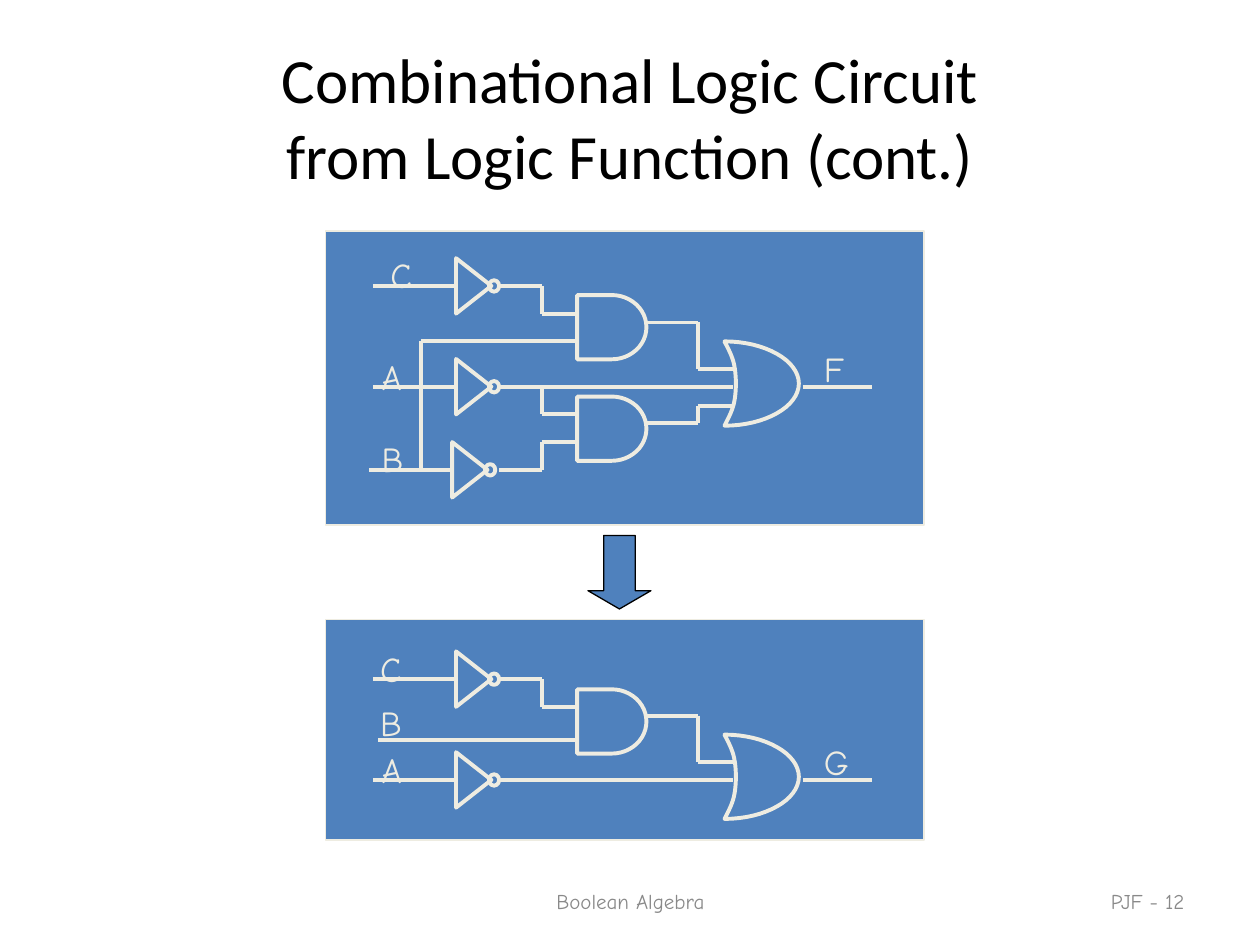
import pptx
import pptx.dml.color
import pptx.enum.shapes
import pptx.enum.text
import pptx.oxml
import pptx.util

Pt = pptx.util.Pt
SHAPES = pptx.enum.shapes.MSO_SHAPE
ALIGN = pptx.enum.text.PP_ALIGN
ANCHOR = pptx.enum.text.MSO_ANCHOR
AUTO_SIZE = pptx.enum.text.MSO_AUTO_SIZE

# Content
TITLE = "Combinational Logic Circuit\vfrom Logic Function (cont.)"
BLUE, CREAM, GREY, BLACK = "4F81BD", "EEECE1", "898989", "000000"
FOOTERS = [
    ("Boolean Algebra", (246.2, 500.4, 228.2, 28.8), ALIGN.CENTER),
    ("PJF - 12", (516.2, 500.4, 167.8, 28.8), ALIGN.RIGHT),
]

# Columns shared by both circuits; heights are measured from the C wire
INPUT, INVERTER, INVERTER_OUT, BEND, AND_LEFT = 213.1, 260.6, 285.1, 309.6, 329.8
AND_RIGHT, OR_BEND, OR_LEFT, OR_IN, OR_OUT, OUTPUT = 369.4, 398.9, 414, 419, 458.6, 498.2
ROW_A, ROW_B, B_SHIFT = 57.6, 105.1, -2.2

# Wires present in both circuits, each a chain of corner points
SHARED_WIRES = [
    [(INPUT, 0), (INVERTER, 0)],
    [(INPUT, ROW_A), (INVERTER, ROW_A)],
    [(INVERTER_OUT, 0), (BEND, 0), (BEND, 15.8), (AND_LEFT, 15.8)],
    [(INVERTER_OUT, ROW_A), (BEND, ROW_A), (OR_IN, ROW_A)],
    [(AND_RIGHT, 20.9), (OR_BEND, 20.9), (OR_BEND, 47.5), (OR_IN, 47.5)],
    [(OR_OUT, ROW_A), (OUTPUT, ROW_A)],
]
CIRCUITS = [
    {
        "panel": (186, 132, 342, 168),
        "top": 163.4,
        "inverters": [(INVERTER, 0), (INVERTER, ROW_A), (INVERTER + B_SHIFT, ROW_B)],
        "and_gates": [5.2, 63.2],
        "wires": [
            [(INPUT + B_SHIFT, ROW_B), (INVERTER + B_SHIFT, ROW_B)],
            [(BEND, ROW_A), (BEND, 73.4), (AND_LEFT, 73.4)],
            [(INVERTER_OUT, ROW_B), (BEND, ROW_B), (BEND, 89.3), (AND_LEFT, 89.3)],
            [(240.5, ROW_B), (240.5, 31.7), (AND_LEFT, 31.7)],
            [(AND_RIGHT, 78.5), (OR_BEND, 78.5), (OR_BEND, 68.4), (OR_IN, 68.4)],
        ],
        "labels": [("A", 211, 36), ("B", 211, 82.8), ("C", 216, -22.3), ("F", 463.7, 31.7)],
    },
    {
        "panel": (186, 354, 342, 126),
        "top": 388.1,
        "inverters": [(INVERTER, 0), (INVERTER, ROW_A)],
        "and_gates": [5.8],
        "wires": [[(216, 34.6), (AND_LEFT, 34.6)]],
        "labels": [("A", 211, 36), ("B", 210.2, 9.4), ("C", 210.2, -21.6), ("G", 463.7, 31.7)],
    },
]
# OR outline: (start, control, control, end), relative to its top left corner
OR_CURVES = [
    ((0, 0), (3.6, 7.2), (6.5, 11.5), (6.5, 24.1)),
    ((6.5, 24.1), (6.5, 36.7), (3.6, 41), (0, 48.2)),
    ((0, 48.2), (23, 48.2), (42.5, 37.4), (42.5, 24.1)),
    ((42.5, 24.1), (42.5, 10.8), (23, 0), (0, 0)),
]


def color(value):
    return pptx.dml.color.RGBColor.from_string(value)


def apply_format(target, values):
    for name, value in values.items():
        setattr(target, name, value)


def style(shape, fill=None, line=CREAM, width=2.25):
    shape.shadow.inherit = False
    if fill:
        shape.fill.solid()
        shape.fill.fore_color.rgb = color(fill)
    else:
        shape.fill.background()
    shape.line.color.rgb = color(line)
    shape.line.width = Pt(width)


def add_shape(parent, kind, box, **look):
    shape = parent.add_shape(kind, *map(Pt, box))
    style(shape, **look)
    return shape


def format_text(shape, text, size, font, value, align, **frame_values):
    frame = shape.text_frame
    apply_format(frame, {"word_wrap": True, "auto_size": AUTO_SIZE.NONE, **frame_values})
    frame.text = text
    paragraph = frame.paragraphs[0]
    paragraph.alignment = align
    apply_format(paragraph.font, {"size": Pt(size), "name": font})
    paragraph.font.color.rgb = color(value)


def add_wire(shapes, points, top):
    for (x1, y1), (x2, y2) in zip(points, points[1:]):
        wire = shapes.add_connector(
            pptx.enum.shapes.MSO_CONNECTOR.STRAIGHT,
            Pt(x1), Pt(top + y1), Pt(x2), Pt(top + y2))
        wire.line.color.rgb = color(CREAM)
        wire.line.width = Pt(2 if x1 == x2 else 2.25)
        properties = wire.element.spPr
        properties.append(properties.makeelement(pptx.oxml.ns.qn("a:effectLst"), {}))


def add_inverter(shapes, left, middle):
    base, depth = 31.7, 20.2
    group = shapes.add_group_shape()
    triangle = add_shape(
        group.shapes, SHAPES.ISOSCELES_TRIANGLE,
        (left + (depth - base) / 2, middle - depth / 2, base, depth))
    triangle.rotation = 90
    add_shape(group.shapes, SHAPES.OVAL, (left + 18.8, middle - 3.25, 5.8, 6.5))


def curve_points(curve, steps=16):
    for step in range(1, steps + 1):
        t = step / steps
        weights = ((1 - t) ** 3, 3 * t * (1 - t) ** 2, 3 * t * t * (1 - t), t ** 3)
        yield tuple(sum(w * point[axis] for w, point in zip(weights, curve)) for axis in (0, 1))


def add_or_gate(shapes, left, top):
    points = [(Pt(left + x), Pt(top + y)) for curve in OR_CURVES for x, y in curve_points(curve)]
    builder = shapes.build_freeform(Pt(left), Pt(top))
    builder.add_line_segments(points, close=True)
    style(builder.convert_to_shape())


def add_circuit(shapes, circuit):
    top = circuit["top"]
    add_shape(shapes, SHAPES.RECTANGLE, circuit["panel"], fill=BLUE, width=0.75)
    for points in SHARED_WIRES + circuit["wires"]:
        add_wire(shapes, points, top)
    for left, middle in circuit["inverters"]:
        add_inverter(shapes, left, top + middle)
    for gate_top in circuit["and_gates"]:
        add_shape(shapes, SHAPES.FLOWCHART_DELAY, (AND_LEFT, top + gate_top, 39.6, 36.7))
    add_or_gate(shapes, OR_LEFT, top + 31.7)
    for text, left, label_top in circuit["labels"]:
        label = shapes.add_textbox(Pt(left), Pt(top + label_top), Pt(29.5), Pt(31.7))
        format_text(label, text, 20, "Comic Neue", CREAM, ALIGN.LEFT,
                    auto_size=AUTO_SIZE.SHAPE_TO_FIT_TEXT)


def main():
    presentation = pptx.Presentation()
    apply_format(presentation, {"slide_width": Pt(720), "slide_height": Pt(540)})
    slide = presentation.slides.add_slide(presentation.slide_layouts[5])
    shapes = slide.shapes

    # Title and footer
    title = shapes.title
    apply_format(title, {"left": Pt(36), "top": Pt(21.6), "width": Pt(648), "height": Pt(90)})
    format_text(title, TITLE, 36, "Calibri", BLACK, ALIGN.CENTER, vertical_anchor=ANCHOR.MIDDLE)
    for text, box, align in FOOTERS:
        footer = shapes.add_textbox(*map(Pt, box))
        format_text(footer, text, 12, "Comic Neue", GREY, align, vertical_anchor=ANCHOR.MIDDLE)

    # Circuits and the arrow between them
    for circuit in CIRCUITS:
        add_circuit(shapes, circuit)
    arrow = add_shape(shapes, SHAPES.DOWN_ARROW, (336, 306, 36, 42),
                      fill=BLUE, line=BLACK, width=0.75)
    arrow.adjustments[1] = 0.29

    presentation.save("out.pptx")


if __name__ == "__main__":
    main()
